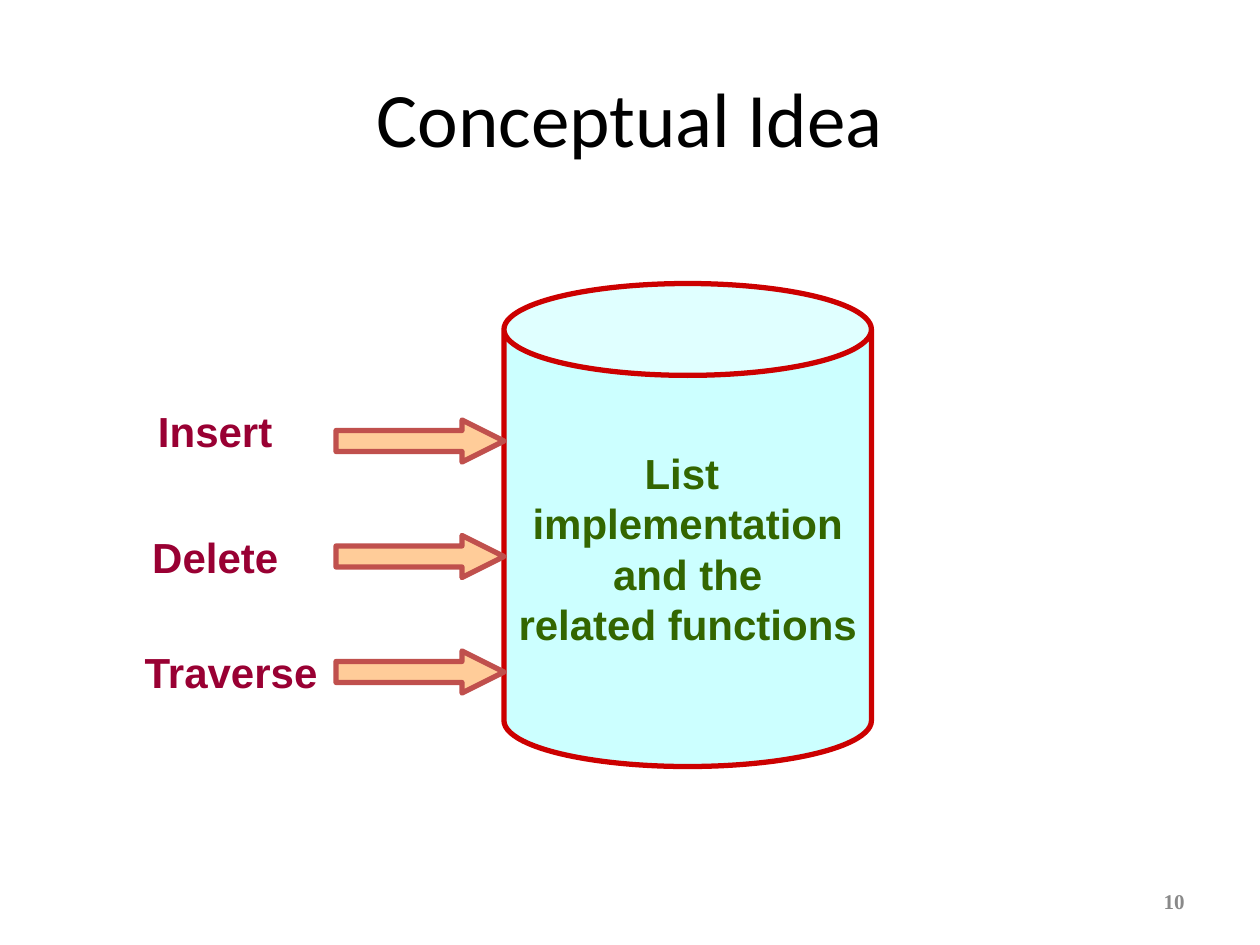
"""Build the slide showing list operations acting on a list implementation."""
import pptx
import pptx.dml.color
import pptx.enum.shapes
import pptx.enum.text
import pptx.util

PX = 7620
COLORS = {
    "title": "000000",
    "number": "898989",
    "can_fill": "CCFFFF",
    "can_line": "CC0000",
    "can_text": "336600",
    "arrow_fill": "FFCC99",
    "arrow_line": "C0504D",
    "operation": "990033",
}
SHAPES = pptx.enum.shapes.MSO_SHAPE
ALIGN = pptx.enum.text.PP_ALIGN
MIDDLE = pptx.enum.text.MSO_ANCHOR.MIDDLE


def write(part, text, size, face, color, bold=True, align=ALIGN.CENTER):
    part.text_frame.text = text
    for paragraph in part.text_frame.paragraphs:
        paragraph.alignment = align
        for run in paragraph.runs:
            run.font.size = pptx.util.Pt(size)
            run.font.name = face
            run.font.bold = bold
            run.font.color.rgb = pptx.dml.color.RGBColor.from_string(COLORS[color])


def add_outlined(kind, left, top, width, height, name):
    shape = slide.shapes.add_shape(kind, left * PX, top * PX, width * PX, height * PX)
    shape.shadow.inherit = False
    shape.fill.solid()
    shape.fill.fore_color.rgb = pptx.dml.color.RGBColor.from_string(COLORS[name + "_fill"])
    shape.line.color.rgb = pptx.dml.color.RGBColor.from_string(COLORS[name + "_line"])
    shape.line.width = pptx.util.Pt(3)
    return shape


deck = pptx.Presentation()
deck.slide_width, deck.slide_height = 1200 * PX, 900 * PX
slide = deck.slides.add_slide(deck.slide_layouts[5])

title = slide.shapes.title
title.left, title.top, title.width, title.height = 60 * PX, 36 * PX, 1080 * PX, 150 * PX
title.text_frame.vertical_anchor = MIDDLE
write(title, "Conceptual Idea", 44, "Calibri", "title", bold=False)

page_number = slide.shapes.add_textbox(860 * PX, 834 * PX, 280 * PX, 48 * PX)
page_number.text_frame.word_wrap = True
page_number.text_frame.vertical_anchor = MIDDLE
write(page_number, "10", 12, "Times New Roman", "number", align=ALIGN.RIGHT)

list_store = add_outlined(SHAPES.CAN, 480, 270, 350, 460, "can")
list_store.adjustments[0] = 0.25
list_store.text_frame.word_wrap = False
list_store.text_frame.vertical_anchor = MIDDLE
write(list_store, "List \nimplementation\nand the\nrelated functions", 24, "Arial", "can_text")

operations = [("Insert", 380, 170), ("Delete", 500, 170), ("Traverse", 610, 200)]
for row, (operation, label_top, label_width) in enumerate(operations):
    arrow = add_outlined(SHAPES.RIGHT_ARROW, 320, 400 + 110 * row, 160, 40, "arrow")
    arrow.adjustments[0] = 0.5
    arrow.adjustments[1] = 1
    label = slide.shapes.add_textbox(120 * PX, label_top * PX, label_width * PX, 60 * PX)
    label.text_frame.word_wrap = True
    write(label, operation, 24, "Arial", "operation")

deck.save("out.pptx")
